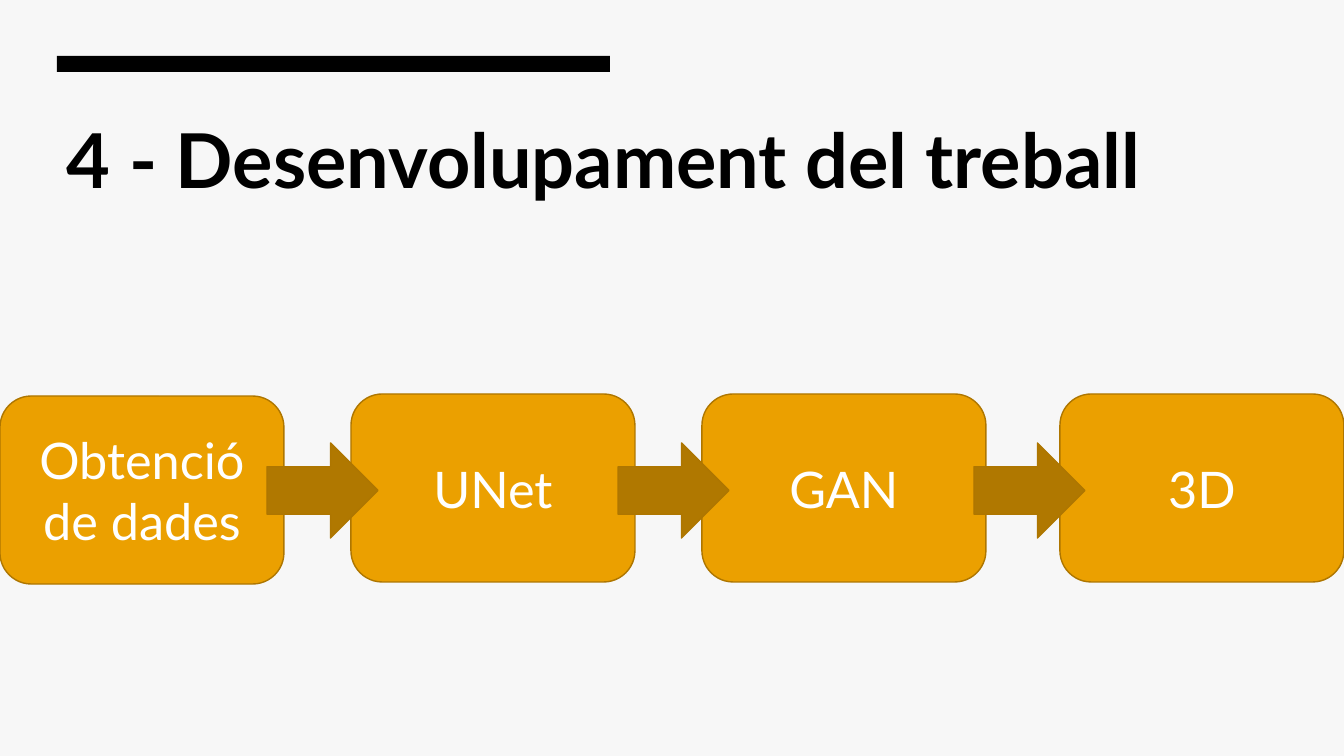
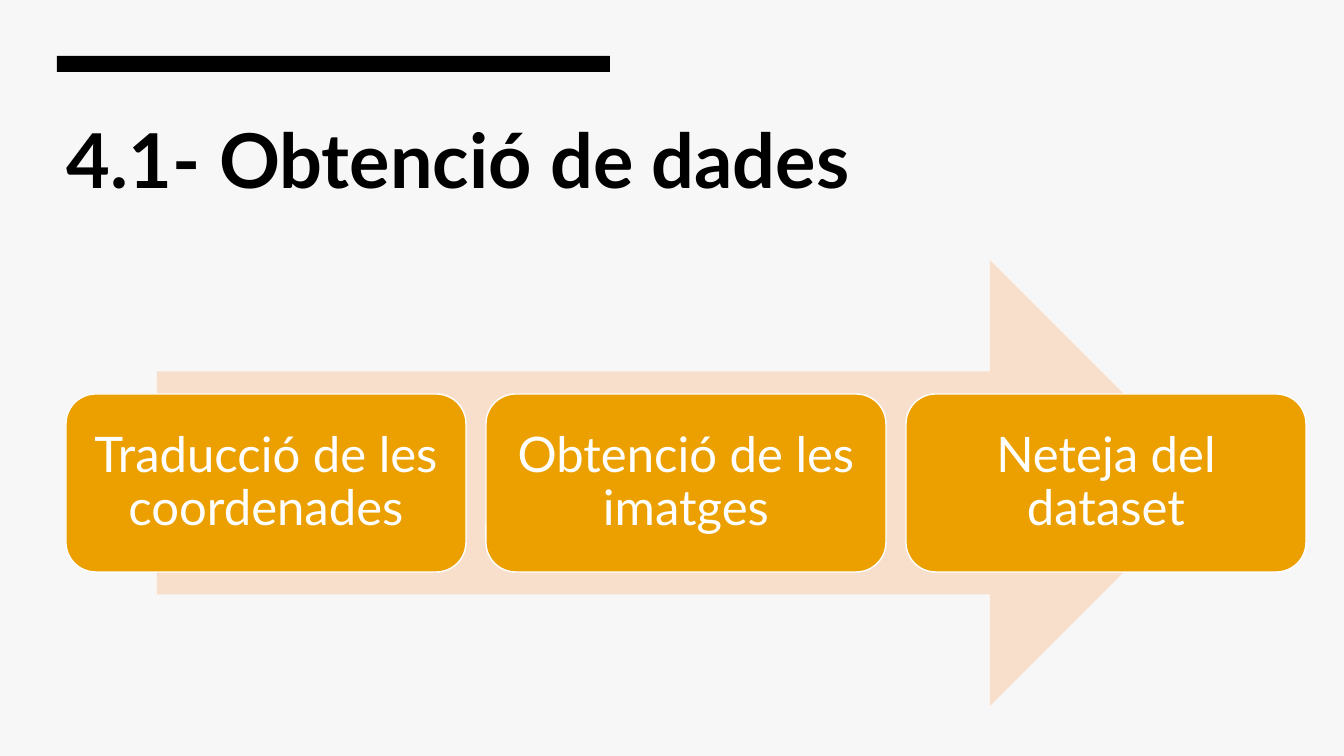
import pptx
import pptx.dml.color
import pptx.enum.shapes
import pptx.enum.text
import pptx.util

RGBColor = pptx.dml.color.RGBColor
MSO_SHAPE = pptx.enum.shapes.MSO_SHAPE
PP_ALIGN = pptx.enum.text.PP_ALIGN
MSO_ANCHOR = pptx.enum.text.MSO_ANCHOR

SLIDE_W, SLIDE_H = 1344, 756
EMU_PER_PX = 12192000 / SLIDE_W

FONT = "Lato"
PAPER = RGBColor(0xF7, 0xF7, 0xF7)
BLACK = RGBColor(0x00, 0x00, 0x00)
WHITE = RGBColor(0xFF, 0xFF, 0xFF)
AMBER = RGBColor(0xEB, 0xA0, 0x00)
DARK_AMBER = RGBColor(0xB0, 0x78, 0x00)
AMBER_EDGE = RGBColor(0xAE, 0x76, 0x00)
PEACH = RGBColor(0xF7, 0xDF, 0xCC)

LEFT = 57
STEP_TOP = 394


def px(length):
    return pptx.util.Emu(round(length * EMU_PER_PX))


def set_text(shape, text, size, color, bold=False, align=PP_ALIGN.LEFT,
             anchor=MSO_ANCHOR.TOP, line_spacing=None):
    frame = shape.text_frame
    frame.word_wrap = True
    frame.vertical_anchor = anchor
    frame.text = text
    paragraph = frame.paragraphs[0]
    paragraph.alignment = align
    paragraph.line_spacing = line_spacing
    font = paragraph.font
    font.name = FONT
    font.size = pptx.util.Pt(size)
    font.bold = bold
    font.color.rgb = color


def add_figure(slide, preset, left, top, width, height, fill, edge=None):
    figure = slide.shapes.add_shape(preset, px(left), px(top), px(width), px(height))
    figure.shadow.inherit = False
    figure.fill.solid()
    figure.fill.fore_color.rgb = fill
    if edge is None:
        figure.line.fill.background()
    else:
        figure.line.color.rgb = edge
        figure.line.width = pptx.util.Pt(1)
    return figure


def add_step(slide, text, left, top, width, height, edge, size, inset,
             line_spacing=None):
    step = add_figure(slide, MSO_SHAPE.ROUNDED_RECTANGLE, left, top, width, height,
                      AMBER, edge)
    frame = step.text_frame
    frame.margin_left = frame.margin_right = px(inset)
    frame.margin_top = frame.margin_bottom = px(inset)
    set_text(step, text, size, WHITE, align=PP_ALIGN.CENTER,
             anchor=MSO_ANCHOR.MIDDLE, line_spacing=line_spacing)


def add_titled_slide(deck, title):
    """Add a slide with the shared background, black bar and heading."""
    slide = deck.slides.add_slide(deck.slide_layouts[6])
    slide.background.fill.solid()
    slide.background.fill.fore_color.rgb = PAPER
    add_figure(slide, MSO_SHAPE.RECTANGLE, LEFT, 56, 553, 16, BLACK)
    heading = slide.shapes.add_textbox(px(LEFT), px(108), px(1213), px(104))
    set_text(heading, title, 54, BLACK, bold=True)
    return slide


def build_development(deck):
    slide = add_titled_slide(deck, "4 - Desenvolupament del treball")
    stages = [
        ("Obtenció de dades", 0, STEP_TOP + 2),
        ("UNet", 351, STEP_TOP),
        ("GAN", 702, STEP_TOP),
        ("3D", 1060, STEP_TOP),
    ]
    for text, left, top in stages:
        add_step(slide, text, left, top, 284, 188, AMBER_EDGE, size=36, inset=10)
    for left in (267, 618, 974):
        add_figure(slide, MSO_SHAPE.RIGHT_ARROW, left, 443, 111, 95,
                   DARK_AMBER, AMBER_EDGE)


def build_data_collection(deck):
    slide = add_titled_slide(deck, "4.1- Obtenció de dades")
    add_figure(slide, MSO_SHAPE.RIGHT_ARROW, 157, 260, 1056, 446, PEACH)
    step_width, gap = 400, 20
    steps = ["Traducció de les coordenades", "Obtenció de les imatges",
             "Neteja del dataset"]
    for index, text in enumerate(steps):
        add_step(slide, text, 66 + index * (step_width + gap), STEP_TOP,
                 step_width, 178, WHITE, size=35, inset=15, line_spacing=0.9)


def main():
    deck = pptx.Presentation()
    deck.slide_width, deck.slide_height = px(SLIDE_W), px(SLIDE_H)
    build_development(deck)
    build_data_collection(deck)
    deck.save("out.pptx")


if __name__ == "__main__":
    main()
